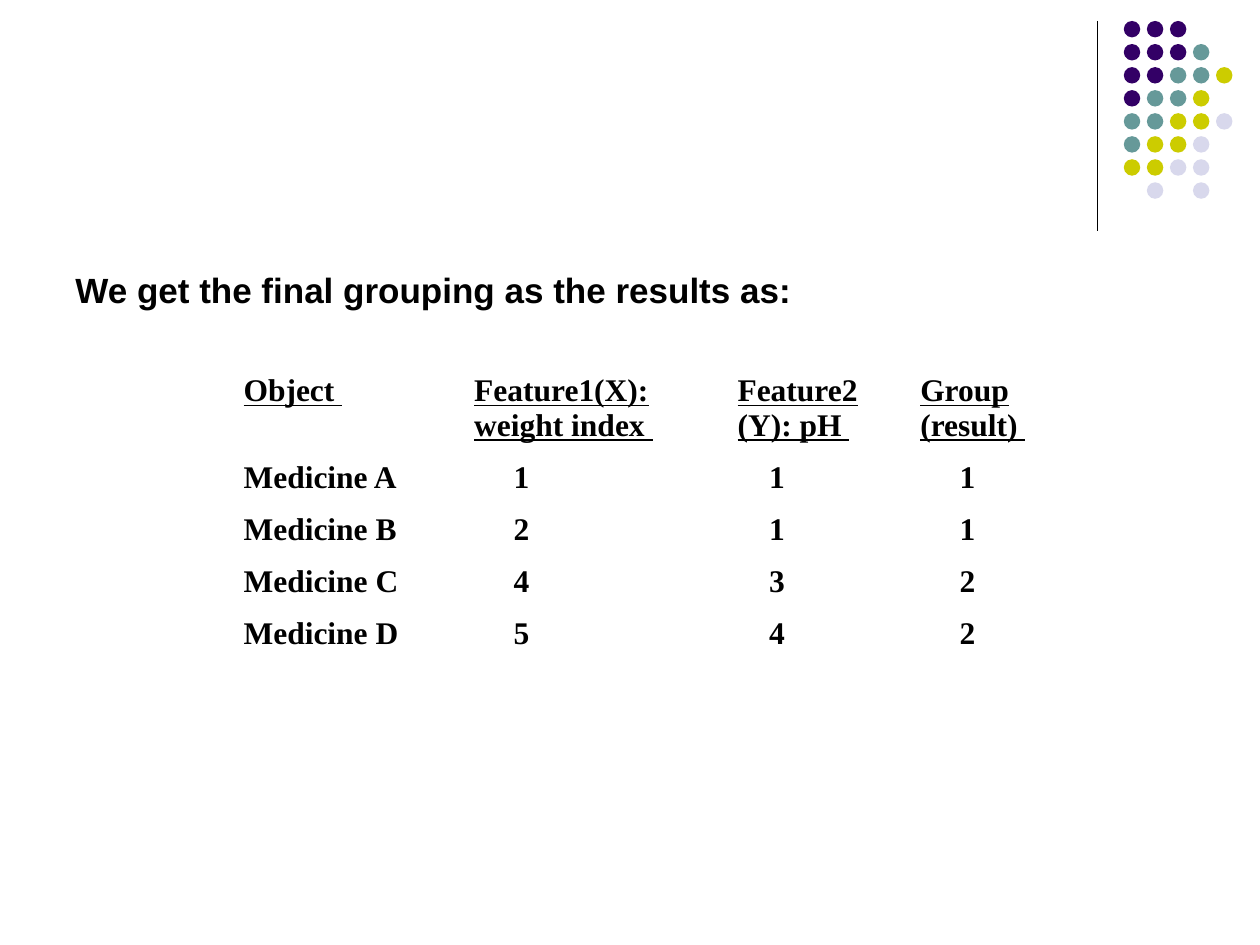
from lxml.etree import SubElement
from pptx import Presentation
from pptx.dml.color import RGBColor
from pptx.enum.shapes import MSO_CONNECTOR, MSO_SHAPE
from pptx.enum.text import MSO_AUTO_SIZE, PP_ALIGN
from pptx.oxml.ns import qn
from pptx.util import Pt

BLACK = RGBColor(0x00, 0x00, 0x00)
PURPLE = RGBColor(0x33, 0x00, 0x66)
TEAL = RGBColor(0x66, 0x99, 0x99)
OLIVE = RGBColor(0xCC, 0xCC, 0x00)
LAVENDER = RGBColor(0xD8, 0xD8, 0xEC)

DOT_COLORS = {"P": PURPLE, "T": TEAL, "O": OLIVE, "L": LAVENDER}
DOT_ROWS = ["PPP", "PPPT", "PPTTO", "PTTO", "TTOOL", "TOOL", "OOLL", ".L.L"]
DOT_LEFT, DOT_TOP, DOT_SIZE, DOT_PITCH = 642.2, 12, 9.4, 13.17

COL_WIDTHS = [131.8, 150.5, 104.4, 117.3]
COL_INDENTS = [0, 22.5, 18, 22.5]
HEADER_HEIGHT, ROW_HEIGHT = 49.7, 29.7
HEADERS = [
    ["Object "],
    ["Feature1(X):", "weight index "],
    ["Feature2", "(Y): pH "],
    ["Group", "(result) "],
]
RESULTS = [
    ["Medicine A", "1", "1", "1"],
    ["Medicine B", "2", "1", "1"],
    ["Medicine C", "4", "3", "2"],
    ["Medicine D", "5", "4", "2"],
]


def add_run(p, text, font, size, underline=False):
    r = p.add_run()
    r.text = text
    r.font.name = font
    r.font.size = Pt(size)
    r.font.bold = True
    r.font.underline = underline
    r.font.color.rgb = BLACK


def add_divider(s, x, top, bottom):
    line = s.shapes.add_connector(
        MSO_CONNECTOR.STRAIGHT, Pt(x), Pt(top), Pt(x), Pt(bottom))
    line.line.color.rgb = BLACK
    line.line.width = Pt(0.75)
    SubElement(line.element.spPr, qn("a:effectLst"))


def add_dots(s):
    group = s.shapes.add_group_shape()
    for row, codes in enumerate(DOT_ROWS):
        for col, code in enumerate(codes):
            if code not in DOT_COLORS:
                continue
            sp = group.shapes.add_shape(
                MSO_SHAPE.OVAL,
                Pt(DOT_LEFT + col * DOT_PITCH), Pt(DOT_TOP + row * DOT_PITCH),
                Pt(DOT_SIZE), Pt(DOT_SIZE))
            sp.shadow.inherit = False
            sp.fill.solid()
            sp.fill.fore_color.rgb = DOT_COLORS[code]
            sp.line.fill.background()


def add_heading(s, text):
    sp = s.shapes.add_textbox(Pt(36), Pt(150), Pt(576), Pt(31))
    tf = sp.text_frame
    tf.word_wrap = True
    tf.auto_size = MSO_AUTO_SIZE.SHAPE_TO_FIT_TEXT
    add_run(tf.paragraphs[0], text, "Arial", 20)


def fill_cell(cell, lines, indent=0, underline=False):
    cell.fill.background()
    tf = cell.text_frame
    for i, text in enumerate(lines):
        p = tf.add_paragraph() if i else tf.paragraphs[0]
        p.alignment = PP_ALIGN.JUSTIFY
        p._p.get_or_add_pPr().set("marL", str(Pt(indent)))
        add_run(p, text, "Times New Roman", 18, underline)


def add_results_table(s):
    rows, cols = len(RESULTS) + 1, len(HEADERS)
    height = HEADER_HEIGHT + ROW_HEIGHT * len(RESULTS)
    frame = s.shapes.add_table(
        rows, cols, Pt(132), Pt(210), Pt(sum(COL_WIDTHS)), Pt(height))
    table = frame.table
    table.first_row = False
    table.horz_banding = False
    for col, width in enumerate(COL_WIDTHS):
        table.columns[col].width = Pt(width)
        fill_cell(table.cell(0, col), HEADERS[col], underline=True)
    table.rows[0].height = Pt(HEADER_HEIGHT)
    for row, values in enumerate(RESULTS, start=1):
        table.rows[row].height = Pt(ROW_HEIGHT)
        for col, value in enumerate(values):
            fill_cell(table.cell(row, col), [value], COL_INDENTS[col])


def main():
    prs = Presentation()
    prs.slide_width = Pt(720)
    prs.slide_height = Pt(540)
    s = prs.slides.add_slide(prs.slide_layouts[6])
    add_divider(s, 627, 12, 132)
    add_dots(s)
    add_results_table(s)
    add_heading(s, "We get the final grouping as the results as:")
    prs.save("out.pptx")


main()
